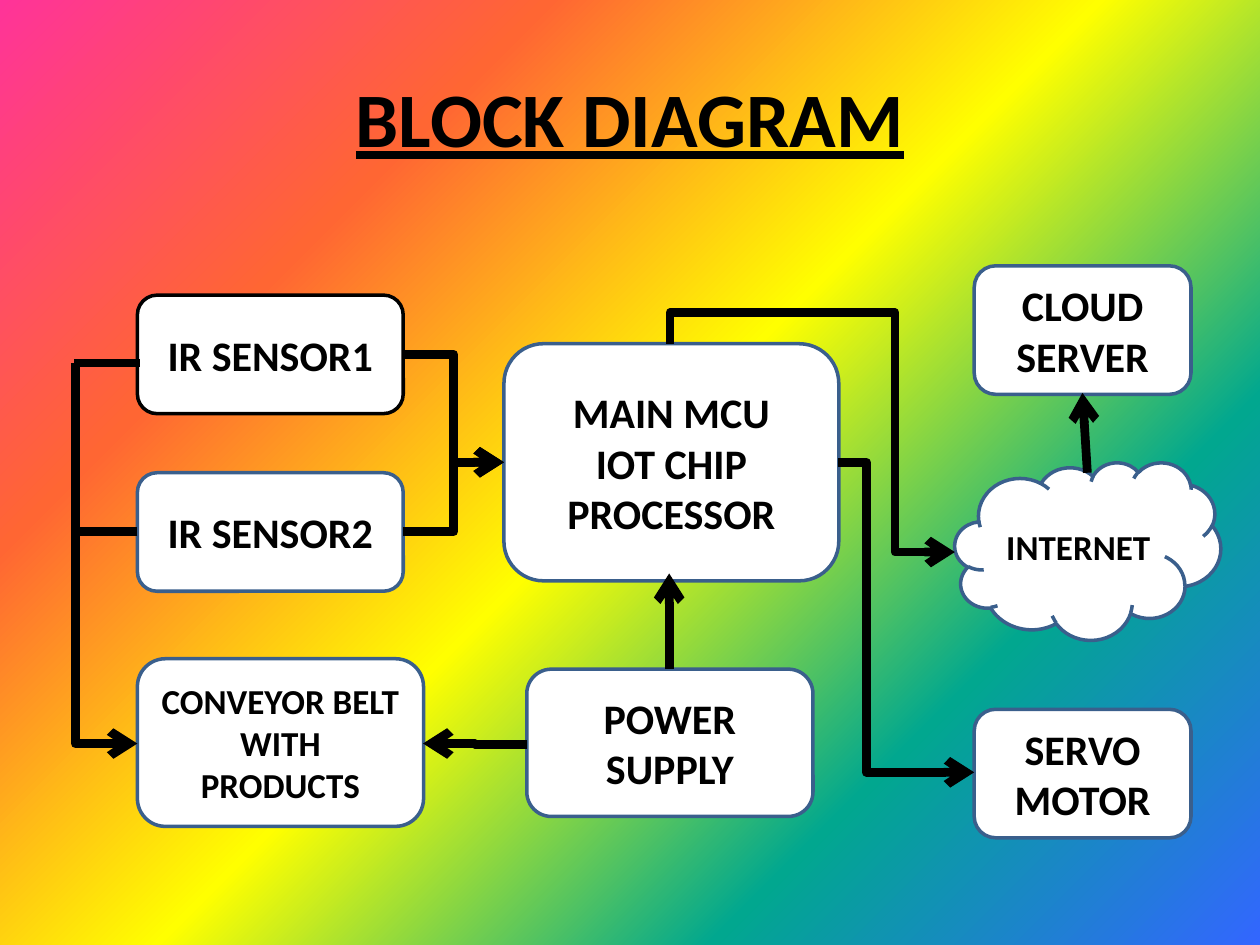
from lxml import etree
from pptx import Presentation
from pptx.dml.color import RGBColor
from pptx.enum.shapes import MSO_CONNECTOR, MSO_SHAPE
from pptx.enum.text import MSO_ANCHOR, PP_ALIGN
from pptx.oxml.ns import qn
from pptx.util import Cm, Pt

ROUND, CLOUD = MSO_SHAPE.ROUNDED_RECTANGLE, MSO_SHAPE.CLOUD
LINE, BENT = MSO_CONNECTOR.STRAIGHT, MSO_CONNECTOR.ELBOW
CENTER, MIDDLE = PP_ALIGN.CENTER, MSO_ANCHOR.MIDDLE
FONT = "Calibri"
COLORS = {"ink": "000000", "paper": "FFFFFF", "edge": "3A5F8C"}
RAINBOW = {0: "FF3399", 25: "FF6633", 50: "FFFF00", 75: "01A78F", 100: "3366FF"}


def color(name):
    """Look up a named colour."""
    return RGBColor.from_string(COLORS[name])


def style(frame, size, underline=None):
    """Centre the text and format its runs in bold ink."""
    frame.word_wrap = True
    frame.vertical_anchor = MIDDLE
    for para in frame.paragraphs:
        para.alignment = CENTER
        for run in para.runs:
            font = run.font
            font.name, font.size, font.bold = FONT, Pt(size), True
            font.underline = underline
            font.color.rgb = color("ink")


def paint(slide):
    """Fill the background with the diagonal rainbow."""
    fill = slide.background.fill
    fill.gradient()
    fill.gradient_angle = 315
    stops = next(slide.element.iter(qn("a:gsLst")))
    for stop in list(stops):
        stops.remove(stop)
    for place, shade in RAINBOW.items():
        stop = etree.SubElement(stops, qn("a:gs"), pos=str(place * 1000))
        etree.SubElement(stop, qn("a:srgbClr"), val=shade)


def head(slide, text):
    """Place and format the title."""
    title = slide.shapes.title
    title.left, title.top = Cm(1.27), Cm(0.76)
    title.width, title.height = Cm(22.86), Cm(3.18)
    title.text_frame.text = text
    style(title.text_frame, 44, True)


def block(slide, text, box, size=24, edge="edge", form=ROUND):
    """Add one labelled block of the diagram."""
    shape = slide.shapes.add_shape(form, *map(Cm, box))
    shape.shadow.inherit = False
    shape.fill.solid()
    shape.fill.fore_color.rgb = color("paper")
    shape.line.color.rgb = color(edge)
    shape.line.width = Pt(2)
    shape.text_frame.text = text
    style(shape.text_frame, size)


def link(slide, start, end, kind=LINE, arrow=True):
    """Add a thick connector, with an arrowhead at its end if wanted."""
    wire = slide.shapes.add_connector(kind, *map(Cm, start + end))
    wire.line.color.rgb = color("ink")
    wire.line.width = Pt(5)
    props = wire.element.spPr
    if arrow:
        etree.SubElement(props.find(qn("a:ln")), qn("a:tailEnd"), type="arrow")
    etree.SubElement(props, qn("a:effectLst"))
    return wire


def bend(wire, *shares, preset="bentConnector3"):
    """Set the preset of a bent connector and where it turns."""
    geom = wire.element.spPr.find(qn("a:prstGeom"))
    geom.set("prst", preset)
    for old in list(geom):
        geom.remove(old)
    guides = etree.SubElement(geom, qn("a:avLst"))
    for num, share in enumerate(shares, 1):
        etree.SubElement(guides, qn("a:gd"), name=f"adj{num}",
                         fmla=f"val {round(share * 100000)}")


def turn(slide, start, end, preset, *shares):
    """Add a bent connector that leaves its start vertically."""
    (x1, y1), (x2, y2) = start, end
    mid_x, mid_y = (x1 + x2) / 2, (y1 + y2) / 2
    off_x, off_y = mid_y - y1, x1 - mid_x
    wire = link(slide, (mid_x + off_x, mid_y + off_y),
                (mid_x - off_x, mid_y - off_y), BENT)
    wire.rotation = 270 if hasattr(wire, "rotation") else None
    wire.element.spPr.find(qn("a:xfrm")).set("rot", str(270 * 60000))
    bend(wire, *shares, preset=preset)


def main():
    """Build the block diagram slide."""
    deck = Presentation()
    deck.slide_width, deck.slide_height = Cm(25.4), Cm(19.05)
    slide = deck.slides.add_slide(deck.slide_layouts[5])
    paint(slide)
    head(slide, "BLOCK DIAGRAM")

    block(slide, "MAIN MCU\nIOT CHIP PROCESSOR", (10.16, 6.93, 6.75, 4.78))
    for text, top in (("CLOUD SERVER", 5.36), ("SERVO MOTOR", 14.3)):
        block(slide, text, (19.64, top, 4.37, 2.59))
    for text, top, edge in (("IR SENSOR1", 5.95, "ink"),
                            ("IR SENSOR2", 9.53, "edge")):
        block(slide, text, (2.77, top, 5.36, 2.39), edge=edge)
    block(slide, "CONVEYOR BELT\nWITH PRODUCTS", (2.77, 13.28, 5.77, 3.38), 20)
    block(slide, "POWER SUPPLY", (10.62, 13.49, 5.77, 2.97))
    block(slide, "INTERNET", (19.25, 9.32, 5.36, 3.58), 20, form=CLOUD)

    for start, end, share in (
        ((8.13, 7.14), (10.16, 9.32), 0.5),
        ((8.13, 10.72), (10.16, 9.32), 0.5),
        ((10.62, 15.01), (8.53, 14.99), 0.5),
        ((16.89, 9.32), (19.64, 15.57), 0.21),
    ):
        bend(link(slide, start, end, BENT), share)
    turn(slide, (13.51, 6.93), (19.25, 11.13), "bentConnector4", -0.15, 0.79)
    turn(slide, (1.52, 7.32), (2.77, 14.99), "bentConnector2")
    link(slide, (13.49, 13.49), (13.49, 11.56))
    link(slide, (21.92, 9.53), (21.82, 7.92))
    link(slide, (2.77, 10.72), (1.47, 10.72), arrow=False)
    link(slide, (2.82, 7.32), (1.5, 7.32), arrow=False)

    deck.save("out.pptx")


main()
